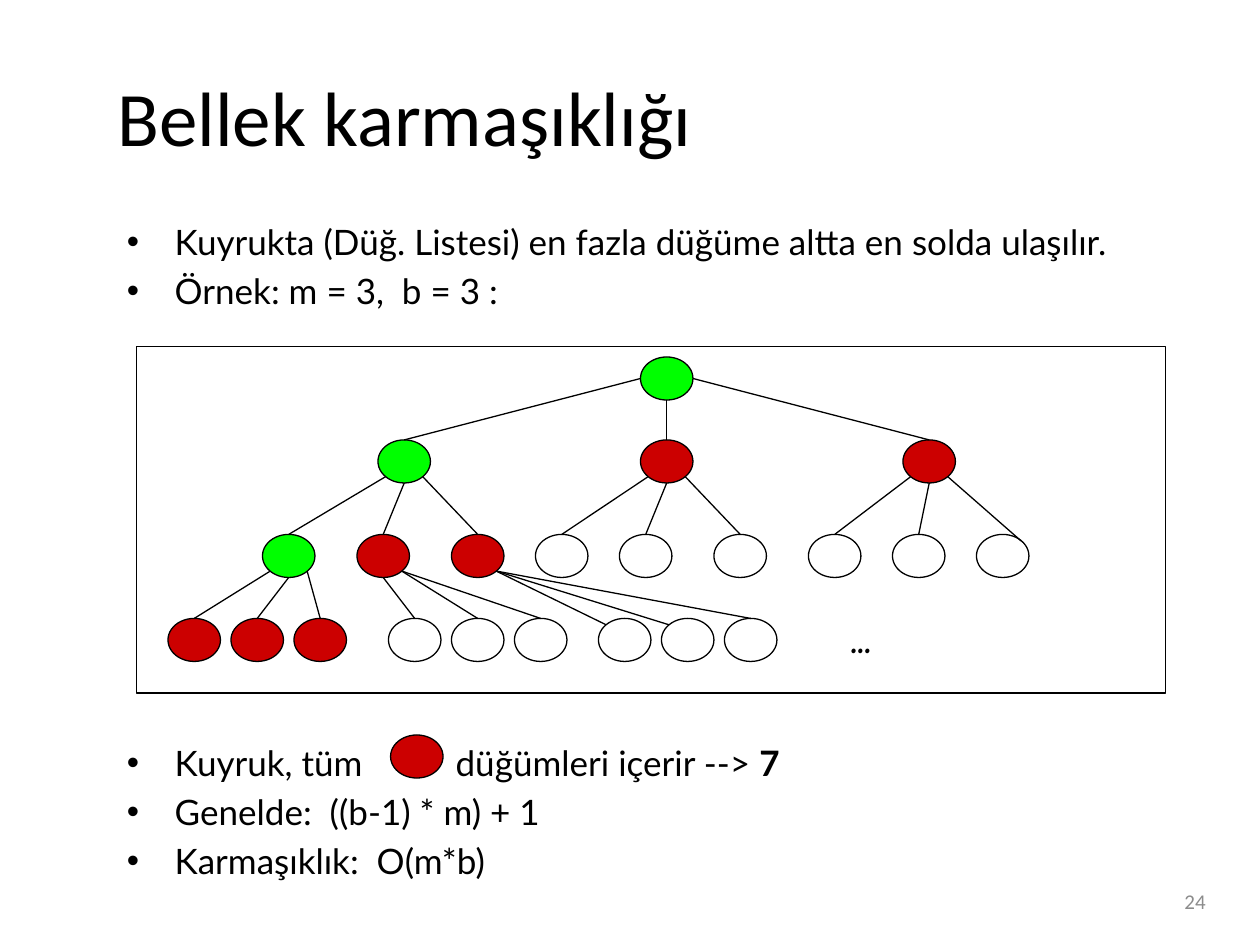
from pptx import Presentation
from pptx.util import Inches, Pt
from pptx.dml.color import RGBColor
from pptx.enum.shapes import MSO_SHAPE, MSO_CONNECTOR
from pptx.enum.text import PP_ALIGN, MSO_ANCHOR
from lxml import etree

OVAL, RECT = MSO_SHAPE.OVAL, MSO_SHAPE.RECTANGLE
LINE = MSO_CONNECTOR.STRAIGHT
LEFT, RIGHT = PP_ALIGN.LEFT, PP_ALIGN.RIGHT
TOP, MID = MSO_ANCHOR.TOP, MSO_ANCHOR.MIDDLE
NS = "{http://schemas.openxmlformats.org/drawingml/2006/main}"
HUES = {"ink": "000000", "paper": "FFFFFF", "path": "00FF00",
        "queue": "CC0000", "grey": "8C8C8C"}
COLS, ROWS = 120, 90
NODE = (5, 4.1)
SITES = {"t": (0.5, 0), "tl": (0.15, 0.15), "tr": (0.85, 0.15),
         "l": (0, 0.5), "r": (1, 0.5), "b": (0.5, 1),
         "bl": (0.15, 0.85), "br": (0.85, 0.85)}


class Board:
    def __init__(self, deck):
        self.wide, self.high = deck.slide_width, deck.slide_height
        self.slide = deck.slides.add_slide(deck.slide_layouts[5])
        self.host = self.slide.shapes

    def box(self, x, y, w, h):
        return (round(self.wide * x / COLS), round(self.high * y / ROWS),
                round(self.wide * w / COLS), round(self.high * h / ROWS))

    def group(self):
        self.host = self.slide.shapes.add_group_shape().shapes

    def leave(self):
        self.host = self.slide.shapes

    def run(self, para, text, size, font="Lato", hue="ink", bold=False, gap=0):
        run = para.add_run()
        run.text = text
        run.font.size, run.font.name, run.font.bold = Pt(size), font, bold
        run.font.color.rgb = RGBColor.from_string(HUES[hue])
        if gap:
            run.font._element.set("spc", str(gap * 100))

    def title(self, area, text):
        head = self.slide.shapes.title
        head.left, head.top, head.width, head.height = self.box(*area)
        head.text_frame.vertical_anchor = MID
        para = head.text_frame.paragraphs[0]
        para.alignment = LEFT
        self.run(para, text, 44, "Calibri")

    def frame(self, area, anchor=TOP, wrap=True):
        frame = self.host.add_textbox(*self.box(*area)).text_frame
        frame.word_wrap, frame.vertical_anchor = wrap, anchor
        return frame

    def label(self, area, text, size, font, hue="ink", align=LEFT,
              anchor=TOP, wrap=True, bold=False):
        para = self.frame(area, anchor, wrap).paragraphs[0]
        para.alignment = align
        self.run(para, text, size, font, hue, bold)

    def bullets(self, area, items):
        frame = self.frame(area)
        for i, runs in enumerate(items):
            para = frame.add_paragraph() if i else frame.paragraphs[0]
            para.space_before = Pt(4)
            props = para._p.get_or_add_pPr()
            props.set("marL", str(Inches(0.38)))
            props.set("indent", str(-Inches(0.38)))
            tint = etree.SubElement(props, NS + "buClr")
            etree.SubElement(tint, NS + "srgbClr", val=HUES["ink"])
            etree.SubElement(props, NS + "buFont", typeface="Arial")
            etree.SubElement(props, NS + "buChar", char="•")
            for text, style in runs:
                self.run(para, text, 20, **style)

    def shape(self, kind, area, hue):
        item = self.host.add_shape(kind, *self.box(*area))
        item.shadow.inherit = False
        item.fill.solid()
        item.fill.fore_color.rgb = RGBColor.from_string(HUES[hue])
        self.pen(item)

    def node(self, x, y, hue):
        self.shape(OVAL, (x, y, *NODE), hue)

    def pen(self, item):
        item.line.color.rgb = RGBColor.from_string(HUES["ink"])
        item.line.width = Pt(0.75)

    def edge(self, start, out, end, into):
        ends = []
        for (x, y), site in ((start, out), (end, into)):
            dx, dy = SITES[site]
            ends += self.box(x + dx * NODE[0], y + dy * NODE[1], 0, 0)[:2]
        link = self.host.add_connector(LINE, *ends)
        self.pen(link)
        etree.SubElement(link._element.spPr, NS + "effectLst")


TREE = [
    (34, [61], ["path"]),
    (41.9, [36, 61, 86], ["path"] + ["queue"] * 2),
    (50.9, [25, 34, 43, 51, 59, 68, 77, 85, 93],
     ["path"] + ["queue"] * 2 + ["paper"] * 6),
    (58.9, [16, 22, 28, 37, 43, 49, 57, 63, 69],
     ["queue"] * 3 + ["paper"] * 6),
]
FAN = ["bl", "b", "br"]
OUTS = [["l", "b", "r"], FAN * 3, FAN + ["b", "br", "br"] + ["br"] * 3]
INTO = {(2, 8): "tr", (3, 6): "tl", (3, 7): "tl"}


def draw_tree(board):
    board.group()
    board.shape(RECT, (13, 33, 98, 33), "paper")
    for y, cols, hues in TREE:
        for x, hue in zip(cols, hues):
            board.node(x, y, hue)
    for deep, outs in enumerate(OUTS):
        high, above, _ = TREE[deep]
        low, below, _ = TREE[deep + 1]
        for i, out in enumerate(outs):
            board.edge((above[i // 3], high), out, (below[i], low),
                       INTO.get((deep + 1, i), "t"))
    board.label((79.8, 58, 7.2, 5.6), "...", 22, "Comic Neue",
                wrap=False, bold=True)
    board.leave()


def main():
    deck = Presentation()
    deck.slide_width, deck.slide_height = Inches(10), Inches(7.5)
    board = Board(deck)
    board.title((10, 3.5, 106, 15), "Bellek karmaşıklığı")
    board.label((88, 83.4, 28, 4.8), "24", 12, "Calibri", "grey", RIGHT, MID)
    board.bullets((10.9, 20.4, 99.1, 10), [
        [("Kuyrukta (Düğ. Listesi) en fazla düğüme altta en solda ulaşılır.", {})],
        [("Örnek: m = 3,  b = 3 :", {})],
    ])
    draw_tree(board)
    board.bullets((10.9, 70, 100.1, 18), [
        [("Kuyruk, tüm", {}), (" ", {"gap": 48}),
         ("düğümleri içerir --> ", {}), ("7", {"bold": True})],
        [("Genelde:  ((b-1) * m) + 1", {})],
        [("Karmaşıklık:  O(m*b)", {})],
    ])
    board.node(37.2, 70, "queue")
    deck.save("out.pptx")


if __name__ == "__main__":
    main()
